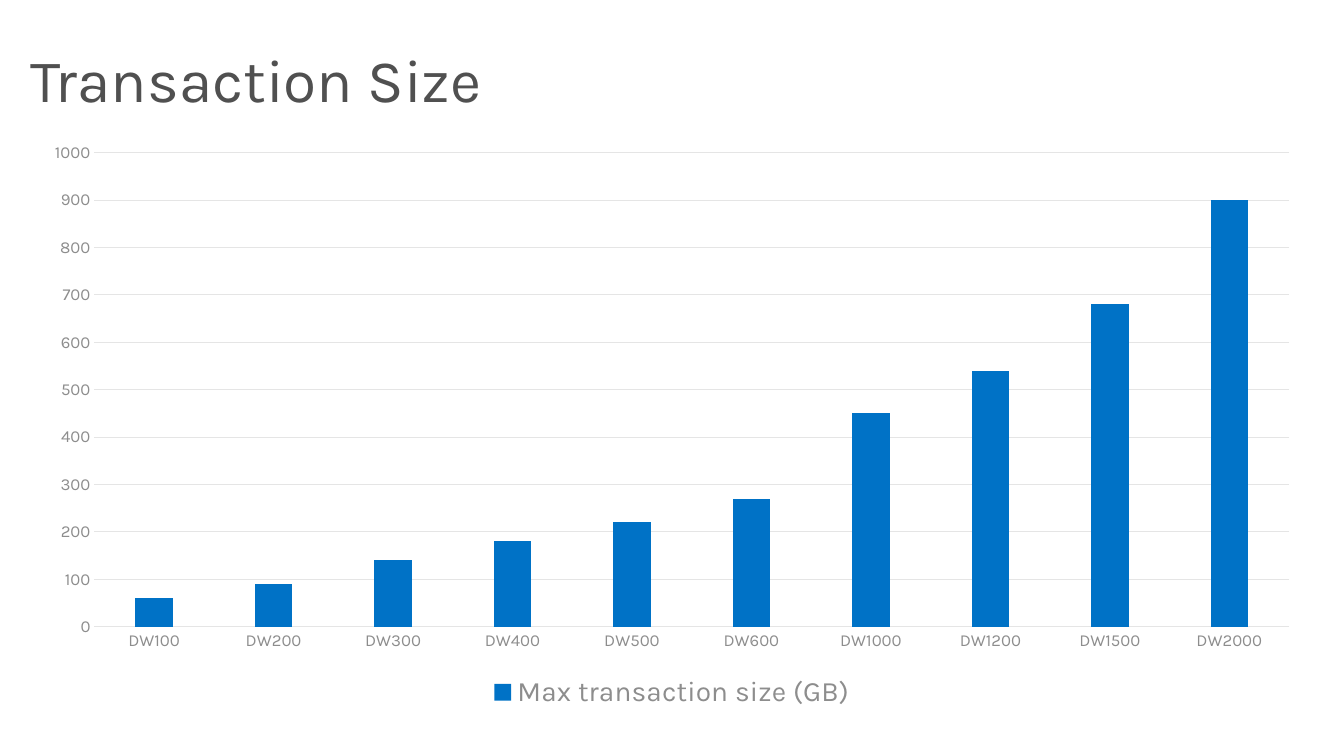
"""Build the Transaction Size slide: a title above a column chart."""
from pptx import Presentation
from pptx.chart.data import CategoryChartData
from pptx.dml.color import RGBColor
from pptx.enum.chart import XL_CHART_TYPE, XL_LEGEND_POSITION, XL_TICK_MARK
from pptx.enum.text import MSO_ANCHOR
from pptx.util import Inches, Pt

COLUMN = XL_CHART_TYPE.COLUMN_CLUSTERED
BOTTOM = XL_LEGEND_POSITION.BOTTOM
NO_TICK = XL_TICK_MARK.NONE
MIDDLE = MSO_ANCHOR.MIDDLE

COLORS = {"title": "505050", "label": "8D8D8D", "grid": "E5E5E5", "bar": "0072C6"}
SIZES = {"DW100": 60, "DW200": 90, "DW300": 140, "DW400": 180, "DW500": 220,
         "DW600": 270, "DW1000": 450, "DW1200": 540, "DW1500": 680, "DW2000": 900}


def color(name):
    return RGBColor.from_string(COLORS[name])


def style(font, size, name):
    font.name = "Karla"
    font.size = Pt(size)
    font.bold = False
    font.color.rgb = color(name)


deck = Presentation()
deck.slide_width, deck.slide_height = Inches(13.33), Inches(7.5)
slide = deck.slides.add_slide(deck.slide_layouts[6])

title = slide.shapes.add_textbox(0, 0, Inches(13.33), Inches(1.45))
frame = title.text_frame
form = {"word_wrap": True, "vertical_anchor": MIDDLE,
        "margin_left": Inches(0.3), "margin_top": Inches(0.25),
        "margin_right": Inches(0.1), "margin_bottom": Inches(0.05)}
for key, value in form.items():
    setattr(frame, key, value)
line = frame.paragraphs[0]
line.line_spacing = 0.9
run = line.add_run()
run.text = "Transaction Size"
style(run.font, 43.1, "title")

data = CategoryChartData()
data.categories = list(SIZES)
data.add_series("Max transaction size (GB)", list(SIZES.values()))
chart = slide.shapes.add_chart(COLUMN, Inches(0.29), Inches(1.3),
                               Inches(12.75), Inches(5.79), data).chart
style(chart.font, 10, "title")
chart.has_title = False
chart.has_legend = True
chart.legend.position = BOTTOM
chart.legend.include_in_layout = False
style(chart.legend.font, 20, "label")

plot = chart.plots[0]
form = {"gap_width": 219, "overlap": -27, "vary_by_categories": False}
for key, value in form.items():
    setattr(plot, key, value)
bars = plot.series[0].format.fill
bars.solid()
bars.fore_color.rgb = color("bar")

cats, vals = chart.category_axis, chart.value_axis
for axis in (cats, vals):
    axis.major_tick_mark = axis.minor_tick_mark = NO_TICK
    style(axis.tick_labels.font, 12, "label")
form = {"minimum_scale": 0, "maximum_scale": 1000, "major_unit": 100,
        "has_major_gridlines": True}
for key, value in form.items():
    setattr(vals, key, value)
vals.format.line.fill.background()
for rule in (cats.format.line, vals.major_gridlines.format.line):
    rule.width = Pt(0.75)
    rule.color.rgb = color("grid")

deck.save("out.pptx")
